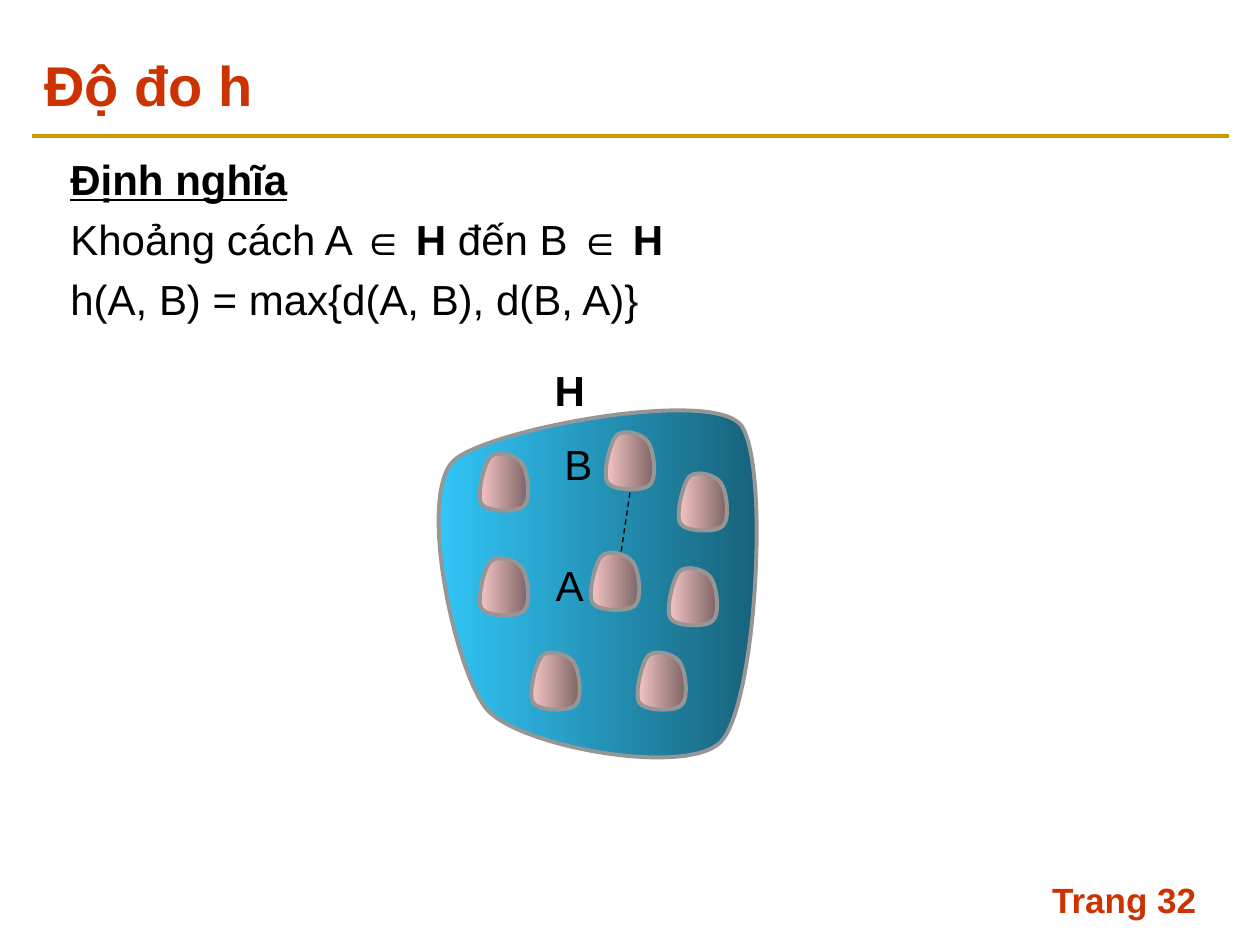
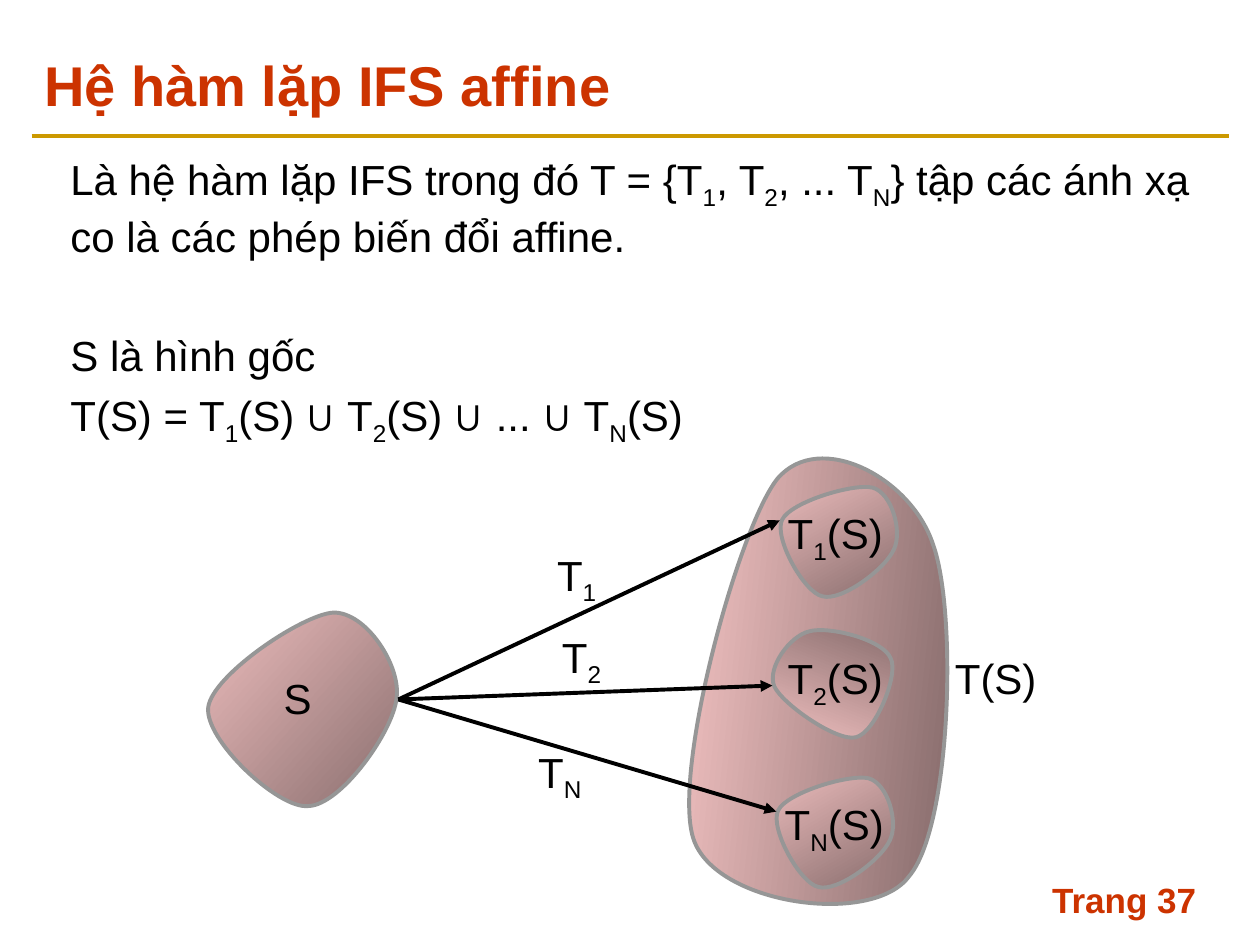
from lxml import etree
from pptx import Presentation
from pptx import util as u
from pptx.dml.color import RGBColor
from pptx.enum import dml, shapes, text
from pptx.oxml.ns import qn

HUES = {
    "title": "CC3300", "rule": "CC9900", "ink": "000000",
    "edge": "969696", "blue": "33CCFF", "pink": "FFCCCC",
}
FACE = "Arial"
DARK = 46275  # shade of the far end of every gradient

# Outlines as fractions of their box: a start, then curves of three points,
# the last of which returns to the start
BLOB = [(.26, .11), (.39, 0), (.73, .08), (.83, .21), (.94, .34), (1, .78),
        (.87, .89), (.76, 1), (.2, .99), (.1, .86), (0, .73), (.14, .22)]
SPACE = [(.1, .19), (.19, .11), (.84, 0), (.92, .1), (1, .21), (.96, .82),
         (.86, .91), (.76, 1), (.27, .92), (.19, .82), (.1, .71), (0, .28)]


def hue(name):
    return RGBColor.from_string(HUES[name])


def style(par, size, color="ink", bold=None):
    font = par.font
    font.name, font.size, font.bold = FACE, u.Pt(size), bold
    font.color.rgb = hue(color)


def write(par, line, mark="sub"):
    """Add runs; each second part between bars is lowered or bold."""
    for i, part in enumerate(line.split("|")):
        if not part:
            continue
        run = par.add_run()
        run.text = part
        if i % 2 and mark == "sub":
            run._r.get_or_add_rPr().set("baseline", "-25000")
        elif i % 2:
            run.font.bold = True


def add_box(slide, x, y, w, h):
    return slide.shapes.add_textbox(u.Cm(x), u.Cm(y), u.Cm(w), u.Cm(h)).text_frame


def add_head(slide, line, x, y, w, h, size):
    frame = add_box(slide, x, y, w, h)
    frame.word_wrap = True
    frame.vertical_anchor = text.MSO_ANCHOR.TOP
    par = frame.paragraphs[0]
    write(par, line)
    style(par, size, "title", True)
    return frame


def add_label(slide, line, x, y, w=.56, bold=None):
    frame = add_box(slide, x, y, w, 1.02)
    frame.word_wrap = False
    frame.margin_left = frame.margin_right = 0
    frame.margin_top = frame.margin_bottom = 0
    frame.auto_size = text.MSO_AUTO_SIZE.SHAPE_TO_FIT_TEXT
    par = frame.paragraphs[0]
    write(par, line)
    style(par, 24, bold=bold)


def add_body(slide, lines, mark="sub"):
    """Write the body from pairs of a text and its space before."""
    frame = add_box(slide, 1.17, 2.97, 23.11, 14.6)
    frame.word_wrap = True
    for i, (line, gap) in enumerate(lines):
        par = frame.add_paragraph() if i else frame.paragraphs[0]
        if gap:
            par.space_before = u.Pt(gap)
        write(par, line, mark)
        style(par, 24)
    return frame


def add_line(slide, start, end, color="ink", width=2.25, dash=False, arrow=False):
    ends = [u.Cm(v) for v in (*start, *end)]
    line = slide.shapes.add_connector(shapes.MSO_CONNECTOR.STRAIGHT, *ends)
    line.line.color.rgb = hue(color)
    line.line.width = u.Pt(width)
    if dash:
        line.line.dash_style = dml.MSO_LINE.DASH
    if arrow:
        tail = etree.SubElement(line.line._get_or_add_ln(), qn("a:tailEnd"))
        tail.set("type", "triangle")
    etree.SubElement(line._element.spPr, qn("a:effectLst"))


def add_blob(slide, x, y, w, h, turn=0, color="pink", form=BLOB):
    dots = [(u.Cm(x + w * a), u.Cm(y + h * b)) for a, b in form]
    pen = slide.shapes.build_freeform(*dots[0])
    pen.add_line_segments(dots[1:] + dots[:1], close=True)
    blob = pen.convert_to_shape()

    # Join each three straight segments into one curve
    route = blob._element.find(".//" + qn("a:path"))
    legs = route.findall(qn("a:lnTo"))
    for i in range(0, len(legs), 3):
        curve = etree.Element(qn("a:cubicBezTo"))
        legs[i].addprevious(curve)
        for leg in legs[i:i + 3]:
            curve.append(leg[0])
            route.remove(leg)

    # Gradient from the plain colour to its shade
    blob.fill.gradient()
    blob.fill.gradient_angle = 0
    for stop in blob.fill.gradient_stops:
        stop.color.rgb = hue(color)
    last = blob._element.spPr.findall(".//" + qn("a:srgbClr"))[-1]
    etree.SubElement(last, qn("a:gamma"))
    etree.SubElement(last, qn("a:shade")).set("val", str(DARK))
    etree.SubElement(last, qn("a:invGamma"))

    blob.line.color.rgb = hue("edge")
    blob.line.width = u.Pt(2.25)
    blob.shadow.inherit = False
    blob.rotation = turn


def add_page(deck, title, page):
    """Add a slide with the shared rule, title and page number."""
    slide = deck.slides.add_slide(deck.slide_layouts[6])
    add_line(slide, (.64, 2.74), (24.77, 2.74), "rule")
    add_head(slide, f"Trang {page}", 20.96, 17.58, 3.81, 1.27, 20)
    head = add_head(slide, title, .64, .84, 24.13, 1.7, 32)
    head.vertical_anchor = text.MSO_ANCHOR.MIDDLE
    return slide


def add_metric(deck):
    slide = add_page(deck, "Độ đo h", 32)
    body = add_body(slide, [
        ("|Định nghĩa|", 0),
        ("Khoảng cách A |∈ H| đến B |∈ H|", 5.5),
        ("h(A, B) = max{d(A, B), d(B, A)}", 5.5),
    ], "bold")
    body.paragraphs[0].font.underline = True
    body.paragraphs[0].runs[0].font.underline = True

    # The space H and the sets in it
    add_blob(slide, 8.43, 7.8, 7.09, 7.87, color="blue", form=SPACE)
    for x, y in [(11.84, 11.07), (12.78, 13.08), (13.41, 11.38), (13.61, 9.47),
                 (9.6, 9.07), (9.6, 11.18), (10.64, 13.08), (12.14, 8.64)]:
        add_blob(slide, x, y, 1.11, 1.27)
    add_label(slide, "H", 11.18, 7.34, .61, True)
    add_label(slide, "A", 11.2, 11.28)
    add_label(slide, "B", 11.38, 8.84)
    add_line(slide, (12.7, 9.93), (12.52, 11.13), width=.75, dash=True)


def add_affine(deck):
    slide = add_page(deck, "Hệ hàm lặp IFS affine", 37)

    # Whole image T(S), behind the text
    add_blob(slide, 13.77, 8.69, 5.72, 9.86, 6.1)
    add_body(slide, [
        ("Là hệ hàm lặp IFS trong đó T = {T|1|, T|2|, ... T|N|} "
         "tập các ánh xạ co là các phép biến đổi affine.", 0),
        ("S là hình gốc", 39),
        ("T(S) = T|1|(S) ∪ T|2|(S) ∪ ... ∪ T|N|(S)", 5.5),
    ])

    # Source shape, its parts and the maps between them
    add_blob(slide, 4.45, 12.07, 3.68, 4.14, 42.2)
    for x, y, turn in [(15.6, 12.42, 291.3), (15.88, 9.53, 59.7), (15.8, 15.39, 59.7)]:
        add_blob(slide, x, y, 2.26, 2.54, turn)
    for end in [(15.72, 10.49), (15.57, 13.82), (15.65, 16.36)]:
        add_line(slide, (8.03, 14.1), end, arrow=True)
    for label in [("S", 5.72, 13.56), ("T|1|(S)", 15.88, 10.24, 1.96),
                  ("T|2|(S)", 15.88, 13.16, 1.96), ("T|N|(S)", 15.82, 16.1, 2.06),
                  ("T(S)", 19.25, 13.16, 1.65), ("T|1|", 11.23, 11.07, .84),
                  ("T|2|", 11.33, 12.73, .84), ("T|N|", 10.85, 15.04, .91)]:
        add_label(slide, *label)


def main():
    deck = Presentation()
    deck.slide_width, deck.slide_height = u.Cm(25.4), u.Cm(19.05)
    add_metric(deck)
    add_affine(deck)
    deck.save("out.pptx")


if __name__ == "__main__":
    main()
